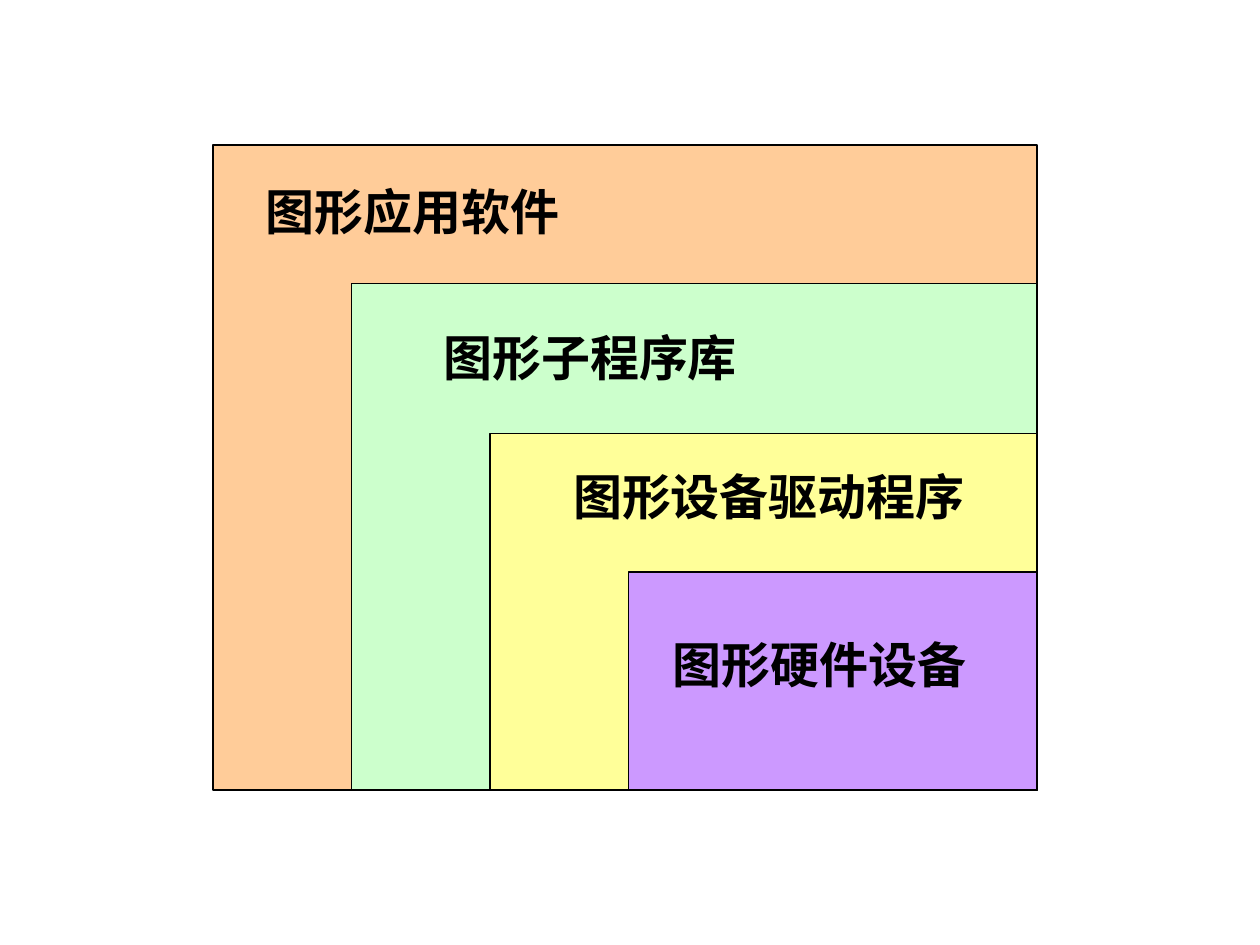
from pptx import Presentation
from pptx.dml.color import RGBColor
from pptx.enum.shapes import MSO_SHAPE
from pptx.enum.text import MSO_AUTO_SIZE
from pptx.util import Inches, Pt

COLORS = {
    "orange": "FFCC99",
    "green": "CCFFCC",
    "yellow": "FFFF99",
    "purple": "CC99FF",
    "black": "000000",
}
LAYERS = [
    ("图形应用软件", "orange", 1.15, (2.01, 1.39, 3.55)),
    ("图形子程序库", "green", 2.25, (3.42, 2.55, 3.55)),
    ("图形设备驱动程序", "yellow", 3.44, (4.45, 3.65, 3.55)),
    ("图形硬件设备", "purple", 4.54, (5.24, 4.99, 2.76)),
]
FIRST_LEFT, COLUMN_STEP = 1.69, 1.1
RIGHT, BOTTOM = 8.23, 6.27
LABEL_HEIGHT = 0.57


def color(name):
    return RGBColor.from_string(COLORS[name])


def add_layer(slide, column, fill, top):
    left = FIRST_LEFT + column * COLUMN_STEP
    shape = slide.shapes.add_shape(
        MSO_SHAPE.RECTANGLE, Inches(left), Inches(top),
        Inches(RIGHT - left), Inches(BOTTOM - top))
    shape.shadow.inherit = False
    shape.fill.solid()
    shape.fill.fore_color.rgb = color(fill)
    shape.line.color.rgb = color("black")
    shape.line.width = Pt(0.75)


def add_label(slide, text, left, top, width):
    box = slide.shapes.add_textbox(
        Inches(left), Inches(top), Inches(width), Inches(LABEL_HEIGHT))
    text_frame = box.text_frame
    text_frame.word_wrap = True
    text_frame.auto_size = MSO_AUTO_SIZE.SHAPE_TO_FIT_TEXT
    text_frame.text = text
    font = text_frame.paragraphs[0].runs[0].font
    font.name = "Times New Roman"
    font.size = Pt(28)
    font.bold = True
    font.color.rgb = color("black")


def main():
    presentation = Presentation()
    presentation.slide_width = Inches(10)
    presentation.slide_height = Inches(7.5)
    slide = presentation.slides.add_slide(presentation.slide_layouts[6])
    for column, (text, fill, top, label_place) in enumerate(LAYERS):
        add_layer(slide, column, fill, top)
    for text, fill, top, label_place in LAYERS:
        add_label(slide, text, *label_place)
    presentation.save("out.pptx")


if __name__ == "__main__":
    main()
